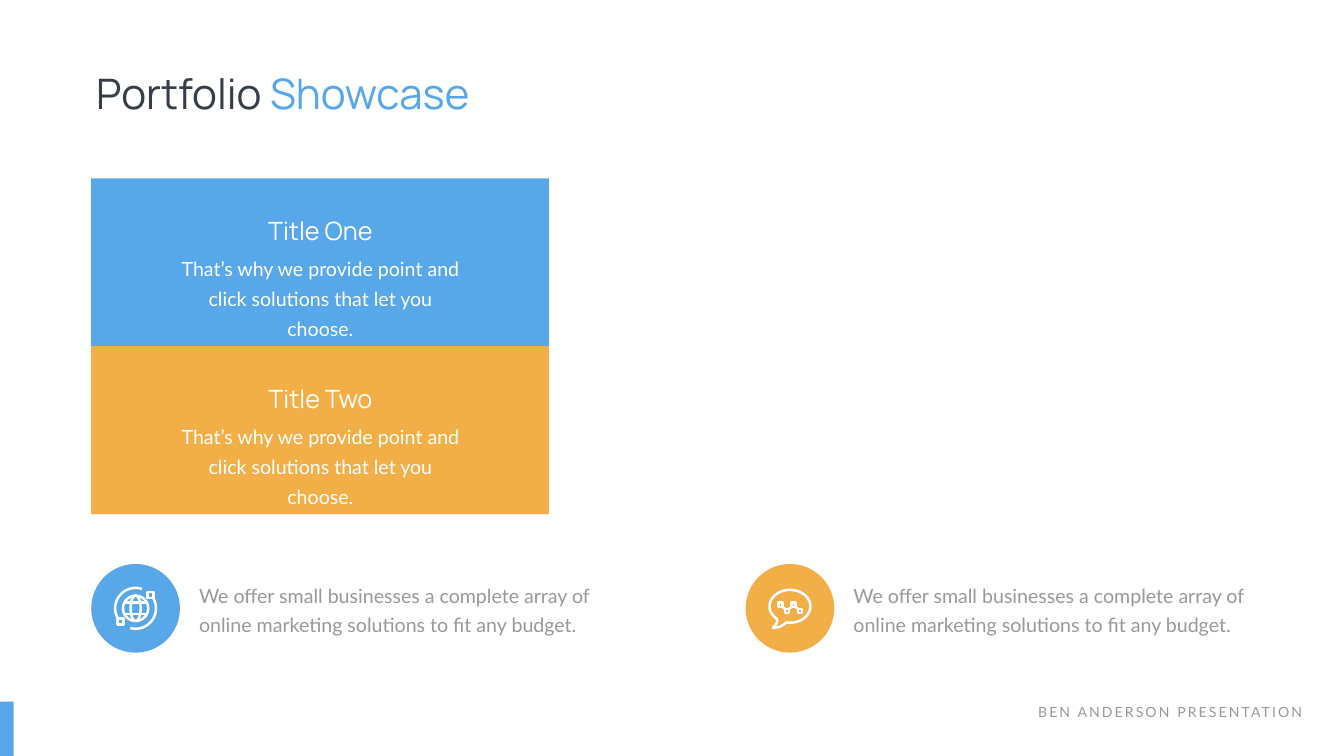
"""Build the portfolio showcase slide."""
import math

import pptx
import pptx.dml.color
import pptx.enum.shapes
import pptx.enum.text
import pptx.util

RGBColor = pptx.dml.color.RGBColor
SHAPE = pptx.enum.shapes.MSO_SHAPE
ALIGN = pptx.enum.text.PP_ALIGN

PX = 9144
STROKE = 3.6
BLUE = RGBColor(0x57, 0xA7, 0xE9)
ORANGE = RGBColor(0xF3, 0xAF, 0x47)
DARK = RGBColor(0x36, 0x3E, 0x48)
GRAY = RGBColor(0x99, 0x99, 0x99)
WHITE = RGBColor(0xFF, 0xFF, 0xFF)

CARD_TEXT = "That’s why we provide point and click solutions that let you choose."
FEATURE_TEXT = ("We offer small businesses a complete array of "
                "online marketing solutions to fit any budget.")


def emu(*lengths):
    """Turn px lengths into EMU."""
    return [length * PX for length in lengths]


def add_text(shapes, box, *runs, font="Lato", size=28, align=ALIGN.LEFT,
             leading=None, tracking=None, wrap=True):
    """Add a text box holding one paragraph of (text, colour) runs."""
    frame = shapes.add_textbox(*emu(*box)).text_frame
    frame.word_wrap = wrap
    frame.auto_size = pptx.enum.text.MSO_AUTO_SIZE.SHAPE_TO_FIT_TEXT
    paragraph = frame.paragraphs[0]
    paragraph.alignment = align
    if leading:
        paragraph.line_spacing = pptx.util.Pt(leading)
    for words, color in runs:
        run = paragraph.add_run()
        run.text = words
        run.font.name = font
        run.font.size = pptx.util.Pt(size)
        run.font.color.rgb = color
        if tracking:
            run._r.get_or_add_rPr().set("spc", str(tracking * 100))


def add_filled(shapes, kind, box, color):
    """Add a solid shape without an outline."""
    shape = shapes.add_shape(kind, *emu(*box))
    shape.shadow.inherit = False
    shape.fill.solid()
    shape.fill.fore_color.rgb = color
    shape.line.fill.background()


def arc(x, y, rx, ry, start=0, end=360):
    """List points along an elliptical arc, angles running clockwise."""
    steps = (end - start) // 5
    angles = [math.radians(start + (end - start) * i / steps) for i in range(steps + 1)]
    return [(x + rx * math.cos(a), y + ry * math.sin(a)) for a in angles]


def square(x, y, half):
    """List the corners of a square node, back to the first corner."""
    return [(x - half, y - half), (x + half, y - half), (x + half, y + half),
            (x - half, y + half), (x - half, y - half)]


def add_strokes(shapes, *contours):
    """Add one white stroked outline made of several contours."""
    builder = shapes.build_freeform(*emu(*contours[0][0]))
    for contour in contours:
        points = [emu(*point) for point in contour]
        builder.move_to(*points[0])
        builder.add_line_segments(points[1:], close=contour[0] == contour[-1])
    shape = builder.convert_to_shape()
    shape.shadow.inherit = False
    shape.fill.background()
    shape.line.color.rgb = WHITE
    shape.line.width = pptx.util.Pt(STROKE)


def draw_globe(shapes, x, y):
    """Draw a globe with two orbiting nodes around a centre."""
    parallels = [[(x - 23, y + dy), (x + 23, y + dy)] for dy in (-11, 11)]
    add_strokes(shapes, arc(x, y, 25, 25), arc(x, y, 10, 25), *parallels)
    for side, start, end in ((1, -28, 105), (-1, 145, 288)):
        add_strokes(shapes, arc(x, y, 40.5, 40.5, start, end),
                    square(x + side * 29.5, y - side * 26, 6))


def draw_bubble(shapes, x, y):
    """Draw a speech bubble with a zigzag chart around a centre."""
    rim = arc(x, y, 40.5, 32.5, 130, 460)
    tail = [(x - 12, y + 36), (x - 21, y + 41), (x - 34, y + 43),
            (x - 27, y + 35), (x - 25, y + 28)]
    add_strokes(shapes, rim + tail + rim[:1])
    nodes = [(x - 19 + 13 * i, y - 3 + 12 * (i % 2)) for i in range(4)]
    links = []
    for (x1, y1), (x2, y2) in zip(nodes, nodes[1:]):
        slope = 1 if y2 > y1 else -1
        links.append([(x1 + 4, y1 + 4 * slope), (x2 - 4, y2 - 4 * slope)])
    add_strokes(shapes, *[square(*node, 4) for node in nodes], *links)


def add_card(shapes, top, title, color):
    """Add a coloured card with a title and body text."""
    add_filled(shapes, SHAPE.RECTANGLE, (181, top, 908, 333), color)
    group = shapes.add_group_shape().shapes
    add_text(group, (337, top + 138, 597, 125), (CARD_TEXT, WHITE),
             align=ALIGN.CENTER, leading=43)
    add_text(group, (516, top + 69, 239, 71), (title, WHITE),
             font="Manrope", size=36, align=ALIGN.CENTER, wrap=False)


def add_feature(shapes, left, text_width, color, draw_icon, icon_y):
    """Add a round icon with a description beside it."""
    group = shapes.add_group_shape().shapes
    add_filled(group, SHAPE.OVAL, (left, 1119, 176, 176), color)
    draw_icon(group, left + 88, icon_y)
    add_text(group, (left + 204, 1144, text_width, 119), (FEATURE_TEXT, GRAY),
             leading=40.8)


def main():
    """Build and save the slide."""
    deck = pptx.Presentation()
    deck.slide_width, deck.slide_height = emu(2666, 1500)
    shapes = deck.slides.add_slide(deck.slide_layouts[6]).shapes

    add_text(shapes, (181, 129, 976, 111), ("Portfolio ", DARK), ("Showcase", BLUE),
             font="Manrope", size=60)
    add_text(shapes, (2008, 1391, 585, 44), ("BEN ANDERSON PRESENTATION", GRAY),
             size=20, align=ALIGN.RIGHT, tracking=3)
    add_filled(shapes, SHAPE.RECTANGLE, (0, 1392, 27, 108), BLUE)

    cards = [("Title One", BLUE), ("Title Two", ORANGE)]
    for row, (title, color) in enumerate(cards):
        add_card(shapes, 354 + 333 * row, title, color)
    add_feature(shapes, 181, 848, BLUE, draw_globe, 1207)
    add_feature(shapes, 1479, 801, ORANGE, draw_bubble, 1203)

    deck.save("out.pptx")


if __name__ == "__main__":
    main()
